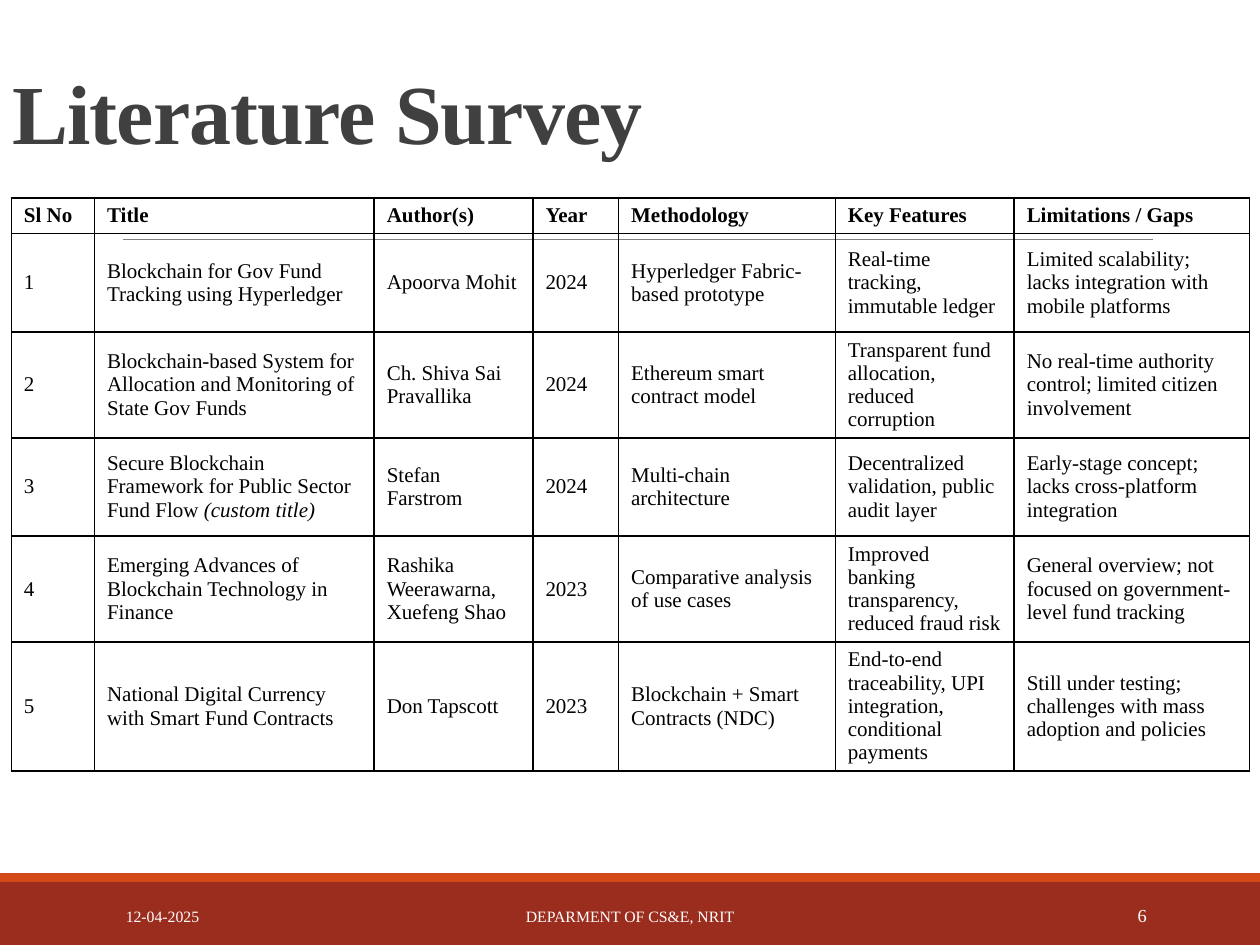
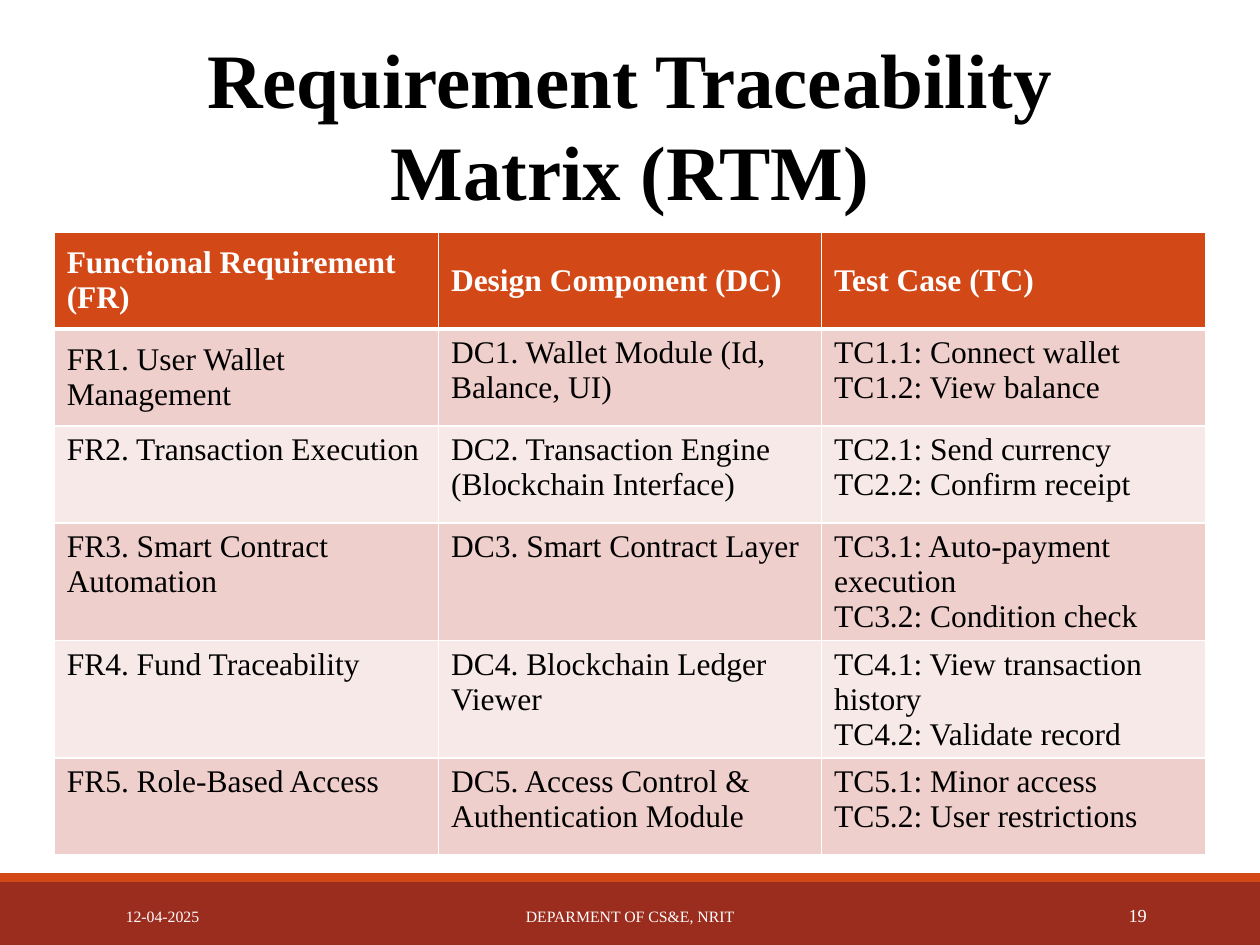
from dataclasses import dataclass
from itertools import product
from typing import Callable

from lxml.etree import SubElement
from pptx import Presentation
from pptx.dml.color import RGBColor
from pptx.enum.shapes import MSO_CONNECTOR, MSO_SHAPE
from pptx.enum.text import MSO_ANCHOR, PP_ALIGN
from pptx.oxml import parse_xml
from pptx.oxml.ns import nsdecls, qn
from pptx.presentation import Presentation as Deck
from pptx.slide import Slide
from pptx.table import _Cell as TableCell
from pptx.text.text import TextFrame
from pptx.util import Pt

EMU_PER_PX = 9144


@dataclass(frozen=True)
class Theme:
    font: str = "Times New Roman"
    white: str = "FFFFFF"
    black: str = "000000"
    brick: str = "9B2D1F"
    orange: str = "D34817"
    rule: str = "808080"
    title_gray: str = "404040"
    band_dark: str = "EFCFCC"
    band_light: str = "F7E9E8"
    survey_title_size: float = 48
    matrix_title_size: float = 44
    matrix_size: float = 18
    matrix_leading: float = 20
    survey_size: float = 12
    survey_leading: float = 13.3
    footer_size: float = 9
    number_size: float = 10.5


THEME = Theme()


@dataclass(frozen=True)
class Box:
    left: int
    top: int
    width: int
    height: int

    def emu(self) -> tuple[int, ...]:
        return tuple(px(value) for value in (self.left, self.top, self.width, self.height))


@dataclass(frozen=True)
class TextStyle:
    size: float
    color: str
    bold: bool = False
    align: PP_ALIGN = PP_ALIGN.LEFT
    anchor: MSO_ANCHOR = MSO_ANCHOR.MIDDLE
    line_spacing: float | Pt | None = None
    letter_spacing: int = 0


@dataclass(frozen=True)
class Band:
    box: Box
    color: str


@dataclass(frozen=True)
class Label:
    text: str
    box: Box
    style: TextStyle


@dataclass(frozen=True)
class CellStyle:
    text: TextStyle
    fill: str | None
    border: str
    top_width: float = 1
    bottom_width: float = 1


@dataclass(frozen=True)
class Grid:
    left: int
    top: int
    columns: tuple[int, ...]
    rows: tuple[int, ...]
    cells: tuple[tuple[str, ...], ...]


BANDS = (
    Band(Box(0, 700, 1000, 50), THEME.brick),
    Band(Box(0, 693, 1000, 7), THEME.orange),
)

SURVEY = Grid(
    9, 157, (66, 222, 126, 68, 172, 142, 187), (28, 78, 84, 78, 84, 102),
    (
        ("Sl No", "Title", "Author(s)", "Year", "Methodology", "Key Features",
         "Limitations / Gaps"),
        ("1", "Blockchain for Gov Fund Tracking using Hyperledger", "Apoorva Mohit", "2024",
         "Hyperledger Fabric-based prototype", "Real-time tracking, immutable ledger",
         "Limited scalability; lacks integration with mobile platforms"),
        ("2", "Blockchain-based System for Allocation and Monitoring of State Gov Funds",
         "Ch. Shiva Sai Pravallika", "2024", "Ethereum smart contract model",
         "Transparent fund allocation, reduced corruption",
         "No real-time authority control; limited citizen involvement"),
        ("3", "Secure Blockchain Framework for Public Sector Fund Flow *(custom title)*",
         "Stefan Farstrom", "2024", "Multi-chain architecture",
         "Decentralized validation, public audit layer",
         "Early-stage concept; lacks cross-platform integration"),
        ("4", "Emerging Advances of Blockchain Technology in Finance",
         "Rashika Weerawarna, Xuefeng Shao", "2023", "Comparative analysis of use cases",
         "Improved banking transparency, reduced fraud risk",
         "General overview; not focused on government-level fund tracking"),
        ("5", "National Digital Currency with Smart Fund Contracts", "Don Tapscott", "2023",
         "Blockchain + Smart Contracts (NDC)",
         "End-to-end traceability, UPI integration, conditional payments",
         "Still under testing; challenges with mass adoption and policies"),
    ),
)

MATRIX = Grid(
    43, 184, (305, 304, 305), (77, 77, 77, 93, 93, 77),
    (
        ("Functional Requirement (FR)", "Design Component (DC)", "Test Case (TC)"),
        ("FR1. User Wallet Management", "DC1. Wallet Module (Id, Balance, UI)",
         "TC1.1: Connect wallet\nTC1.2: View balance"),
        ("FR2. Transaction Execution", "DC2. Transaction Engine (Blockchain Interface)",
         "TC2.1: Send currency\nTC2.2: Confirm receipt"),
        ("FR3. Smart Contract Automation", "DC3. Smart Contract Layer",
         "TC3.1: Auto-payment execution\nTC3.2: Condition check"),
        ("FR4. Fund Traceability", "DC4. Blockchain Ledger Viewer",
         "TC4.1: View transaction history\nTC4.2: Validate record"),
        ("FR5. Role-Based Access", "DC5. Access Control & Authentication Module",
         "TC5.1: Minor access\nTC5.2: User restrictions"),
    ),
)


def px(value: int) -> int:
    return value * EMU_PER_PX


def rgb(color: str) -> RGBColor:
    return RGBColor.from_string(color)


def write_text(frame: TextFrame, text: str, style: TextStyle) -> None:
    paragraph = frame.paragraphs[0]
    paragraph.alignment = style.align
    if style.line_spacing:
        paragraph.line_spacing = style.line_spacing
    font = paragraph.font
    font.name = THEME.font
    font.size = Pt(style.size)
    font.bold = style.bold
    font.color.rgb = rgb(style.color)
    for line_number, line in enumerate(text.split("\n")):
        if line_number:
            paragraph.add_line_break()
        for part_number, part in enumerate(line.split("*")):
            if not part:
                continue
            run = paragraph.add_run()
            run.text = part
            if part_number % 2:
                run.font.italic = True
            if style.letter_spacing:
                run.font._element.set("spc", str(style.letter_spacing))


def add_label(slide: Slide, label: Label) -> None:
    frame = slide.shapes.add_textbox(*label.box.emu()).text_frame
    frame.word_wrap = True
    frame.vertical_anchor = label.style.anchor
    write_text(frame, label.text, label.style)


def add_band(slide: Slide, band: Band) -> None:
    shape = slide.shapes.add_shape(MSO_SHAPE.RECTANGLE, *band.box.emu())
    shape.shadow.inherit = False
    shape.fill.solid()
    shape.fill.fore_color.rgb = rgb(band.color)
    shape.line.fill.background()


def add_rule(slide: Slide) -> None:
    connector = slide.shapes.add_connector(
        MSO_CONNECTOR.STRAIGHT, px(98), px(190), px(915), px(190))
    connector.line.color.rgb = rgb(THEME.rule)
    connector.line.width = Pt(0.5)
    SubElement(connector._element.spPr, qn("a:effectLst"))


def style_cell(cell: TableCell, style: CellStyle) -> None:
    cell.vertical_anchor = style.text.anchor
    if style.fill:
        cell.fill.solid()
        cell.fill.fore_color.rgb = rgb(style.fill)
    else:
        cell.fill.background()
    properties = cell._tc.get_or_add_tcPr()
    widths = {"lnL": 1, "lnR": 1, "lnT": style.top_width, "lnB": style.bottom_width}
    for position, (side, width) in enumerate(widths.items()):
        properties.insert(position, parse_xml(
            f'<a:{side} {nsdecls("a")} w="{Pt(width)}"><a:solidFill>'
            f'<a:srgbClr val="{style.border}"/></a:solidFill></a:{side}>'))


def survey_style(row: int, column: int) -> CellStyle:
    text = TextStyle(THEME.survey_size, THEME.black, bold=row == 0,
                     line_spacing=Pt(THEME.survey_leading))
    return CellStyle(text, None, THEME.black)


def matrix_style(row: int, column: int) -> CellStyle:
    is_header = row == 0
    is_middle = is_header or (row, column) == (1, 0)
    text = TextStyle(
        THEME.matrix_size, THEME.white if is_header else THEME.black, bold=is_header,
        anchor=MSO_ANCHOR.MIDDLE if is_middle else MSO_ANCHOR.TOP,
        line_spacing=Pt(THEME.matrix_leading))
    if is_header:
        return CellStyle(text, THEME.orange, THEME.white, bottom_width=3)
    fill = THEME.band_dark if row % 2 else THEME.band_light
    return CellStyle(text, fill, THEME.white, top_width=3 if row == 1 else 1)


def add_grid(slide: Slide, grid: Grid, style_for: Callable[[int, int], CellStyle]) -> None:
    box = Box(grid.left, grid.top, sum(grid.columns), sum(grid.rows))
    table = slide.shapes.add_table(len(grid.rows), len(grid.columns), *box.emu()).table
    table.first_row = False
    table.horz_banding = False
    for column, width in zip(table.columns, grid.columns):
        column.width = px(width)
    for row, height in zip(table.rows, grid.rows):
        row.height = px(height)
    for row, column in product(range(len(grid.rows)), range(len(grid.columns))):
        cell = table.cell(row, column)
        style = style_for(row, column)
        write_text(cell.text_frame, grid.cells[row][column], style.text)
        style_cell(cell, style)


def add_base_slide(presentation: Deck, number: int) -> Slide:
    slide = presentation.slides.add_slide(presentation.slide_layouts[6])
    for band in BANDS:
        add_band(slide, band)
    add_rule(slide)
    footers = (
        Label("12-04-2025", Box(90, 707, 203, 40), TextStyle(THEME.footer_size, THEME.white)),
        Label("DEPARMENT OF CS&E, NRIT", Box(302, 707, 396, 40),
              TextStyle(THEME.footer_size, THEME.white, align=PP_ALIGN.CENTER)),
        Label(str(number), Box(812, 706, 108, 40),
              TextStyle(THEME.number_size, THEME.white, align=PP_ALIGN.RIGHT)),
    )
    for footer in footers:
        add_label(slide, footer)
    return slide


def build_survey(presentation: Deck) -> None:
    slide = add_base_slide(presentation, 6)
    add_label(slide, Label("Literature Survey", Box(0, -26, 825, 159), TextStyle(
        THEME.survey_title_size, THEME.title_gray, bold=True, anchor=MSO_ANCHOR.BOTTOM,
        line_spacing=0.85, letter_spacing=-50)))
    add_grid(slide, SURVEY, survey_style)


def build_matrix(presentation: Deck) -> None:
    slide = add_base_slide(presentation, 19)
    add_grid(slide, MATRIX, matrix_style)
    add_label(slide, Label("Requirement Traceability Matrix (RTM)", Box(72, 20, 856, 158), TextStyle(
        THEME.matrix_title_size, THEME.black, bold=True, align=PP_ALIGN.CENTER,
        anchor=MSO_ANCHOR.TOP)))


def main() -> None:
    presentation = Presentation()
    presentation.slide_width = px(1000)
    presentation.slide_height = px(750)
    build_survey(presentation)
    build_matrix(presentation)
    presentation.save("out.pptx")


if __name__ == "__main__":
    main()
